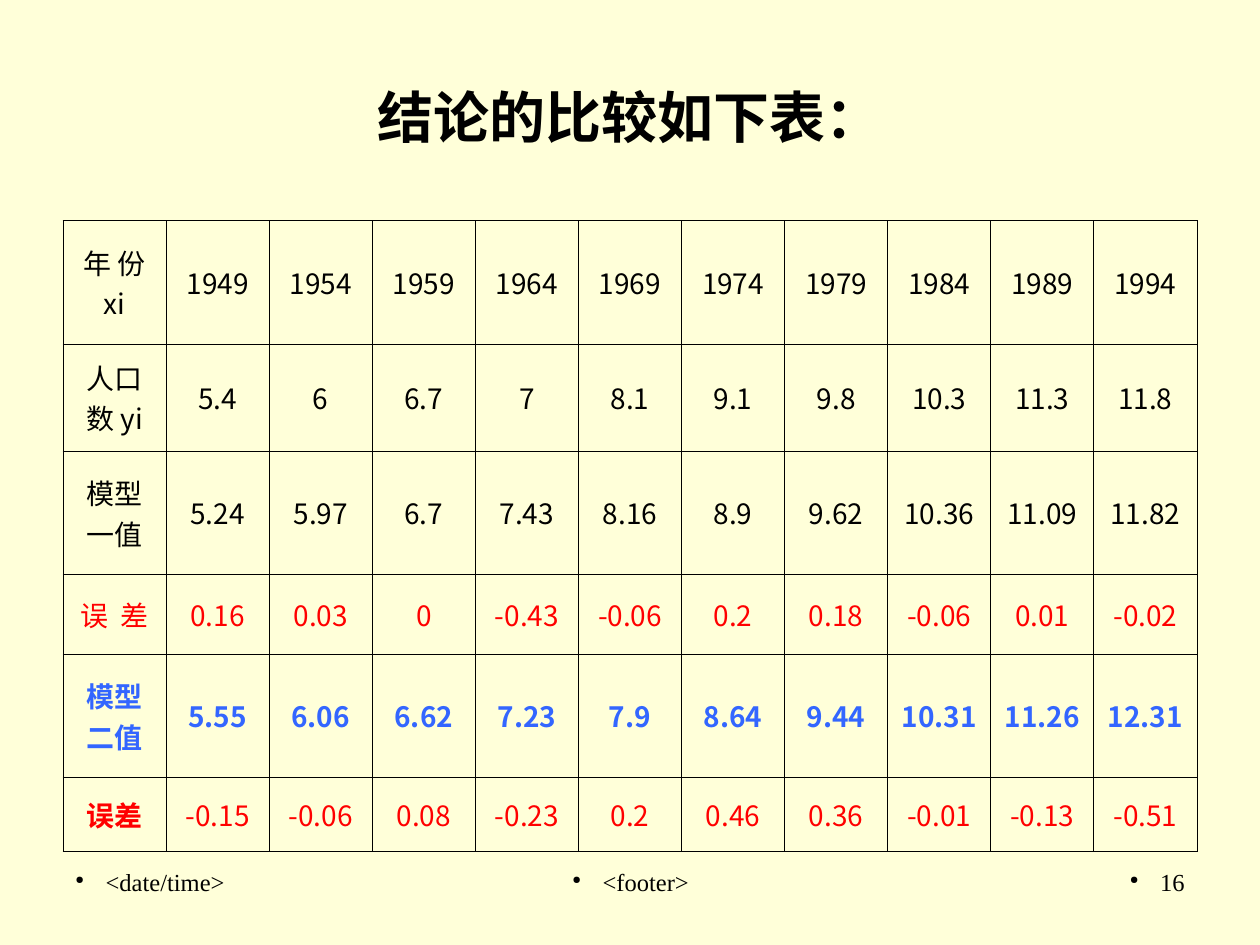
"""Build a slide with a table that compares two population models."""
import pptx
import pptx.util
import pptx.dml.color
import pptx.enum.text
import pptx.oxml
import pptx.oxml.ns

Inches = pptx.util.Inches
Align = pptx.enum.text.PP_ALIGN
Anchor = pptx.enum.text.MSO_ANCHOR
qn = pptx.oxml.ns.qn
NS = pptx.oxml.ns.nsdecls("a")

theme = {
    "back": "FFFFD9", "ink": "000000", "red": "FF0000", "blue": "3366FF",
    "head": 32, "cell": 16, "foot": 14, "rule": 0.45,
    "sans": "Arial", "cjk": "Noto Sans CJK SC", "serif": "Times New Roman",
}


def write(frame, text, size="cell", font="cjk", color="ink", bold=False, align=Align.CENTER):
    para = frame.paragraphs[0]
    para.alignment = align
    run = para.add_run()
    run.text = text
    run.font.size = pptx.util.Pt(theme[size])
    run.font.name = theme[font]
    run.font.bold = bold
    run.font.color.rgb = pptx.dml.color.RGBColor.from_string(theme[color])
    east = run.font._element.makeelement(qn("a:ea"), {"typeface": theme["cjk"]})
    run.font._element.find(qn("a:latin")).addnext(east)
    return para


deck = pptx.Presentation()
deck.slide_width, deck.slide_height = Inches(10), Inches(7.5)
slide = deck.slides.add_slide(deck.slide_layouts[5])
slide.background.fill.solid()
slide.background.fill.fore_color.rgb = pptx.dml.color.RGBColor.from_string(theme["back"])

feet = [
    (7.17, 2.33, "16", Align.RIGHT),
    (3.42, 3.17, "<footer>", Align.CENTER),
    (0.5, 2.33, "<date/time>", Align.LEFT),
]
marks = [
    f'<a:buClr {NS}><a:srgbClr val="{theme["ink"]}"/></a:buClr>',
    f'<a:buSzPct {NS} val="45000"/>',
    f'<a:buChar {NS} char="●"/>',
]
for left, width, text, align in feet:
    box = slide.shapes.add_textbox(Inches(left), Inches(6.83), Inches(width), Inches(0.52))
    box.text_frame.word_wrap = True
    para = write(box.text_frame, text, size="foot", font="serif", align=align)
    props = para._p.get_or_add_pPr()
    props.set("marL", str(Inches(0.24)))
    props.set("indent", str(-Inches(0.24)))
    for mark in marks:
        props.append(pptx.oxml.parse_xml(mark))

title = slide.shapes.title
title.left, title.top, title.width, title.height = map(Inches, (0.5, 0.3, 9, 1.25))
title.text_frame.vertical_anchor = Anchor.MIDDLE
write(title.text_frame, "结论的比较如下表：", size="head", font="sans", bold=True)

rows = [
    (0.98, "年 份 xi", "1949 1954 1959 1964 1969 1974 1979 1984 1989 1994", "ink", False, False),
    (0.85, "人口数 yi", "5.4 6 6.7 7 8.1 9.1 9.8 10.3 11.3 11.8", "ink", False, False),
    (0.98, "模型一值", "5.24 5.97 6.7 7.43 8.16 8.9 9.62 10.36 11.09 11.82", "ink", False, False),
    (0.63, "误  差", "0.16 0.03 0 -0.43 -0.06 0.2 0.18 -0.06 0.01 -0.02", "red", False, False),
    (0.98, "模型二值", "5.55 6.06 6.62 7.23 7.9 8.64 9.44 10.31 11.26 12.31", "blue", True, True),
    (0.59, "误差", "-0.15 -0.06 0.08 -0.23 0.2 0.46 0.36 -0.01 -0.13 -0.51", "red", True, False),
]
count = 11
table = slide.shapes.add_table(
    len(rows), count, Inches(0.5), Inches(1.75), Inches(9), Inches(5)).table
table.first_row = table.horz_banding = False
for col in table.columns:
    col.width = Inches(9 / count)

for r, (height, label, values, color, strong, heavy) in enumerate(rows):
    table.rows[r].height = Inches(height)
    for c, text in enumerate([label] + values.split()):
        cell = table.cell(r, c)
        cell.vertical_anchor = Anchor.MIDDLE
        cell.fill.background()
        write(cell.text_frame, text, color=color, bold=heavy if c else strong)
        props = cell._tc.get_or_add_tcPr()
        for i, side in enumerate(("lnL", "lnR", "lnT", "lnB")):
            props.insert(i, pptx.oxml.parse_xml(
                f'<a:{side} {NS} w="{pptx.util.Pt(theme["rule"])}"><a:solidFill>'
                f'<a:srgbClr val="{theme["ink"]}"/></a:solidFill></a:{side}>'))

deck.save("out.pptx")
